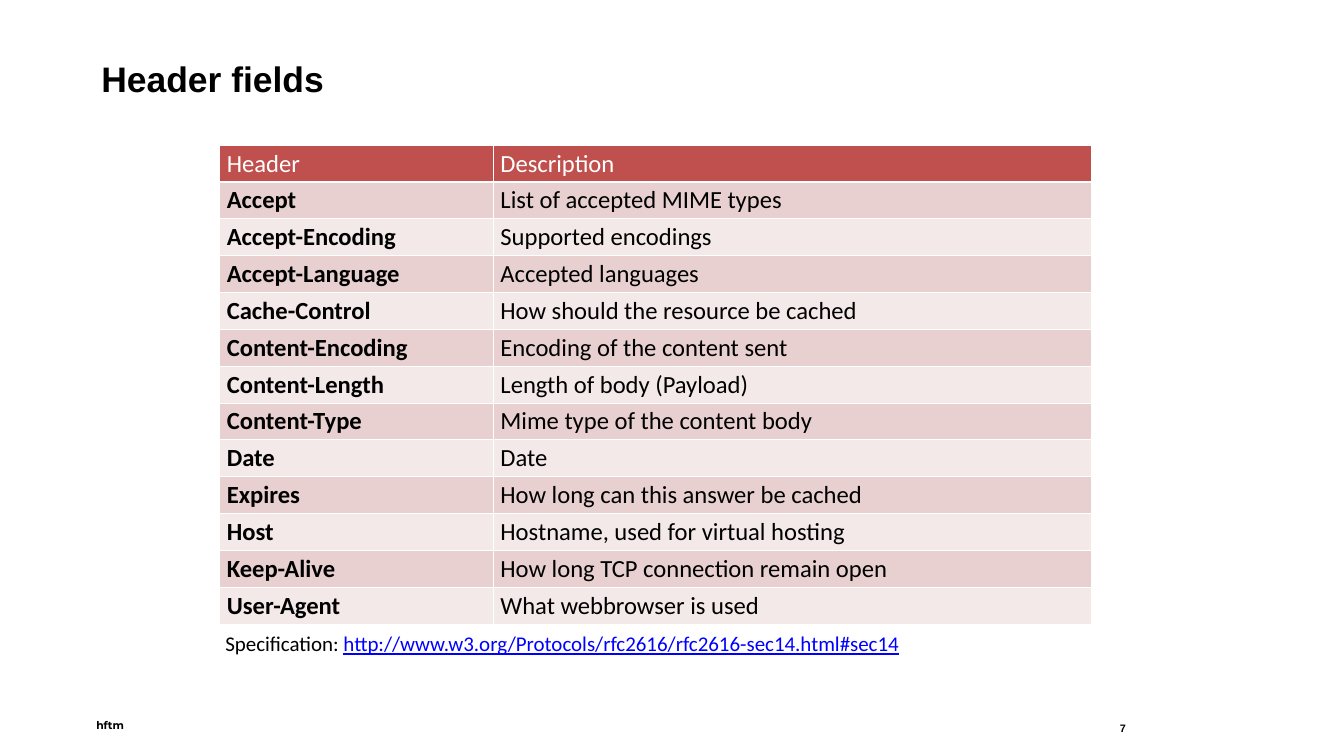
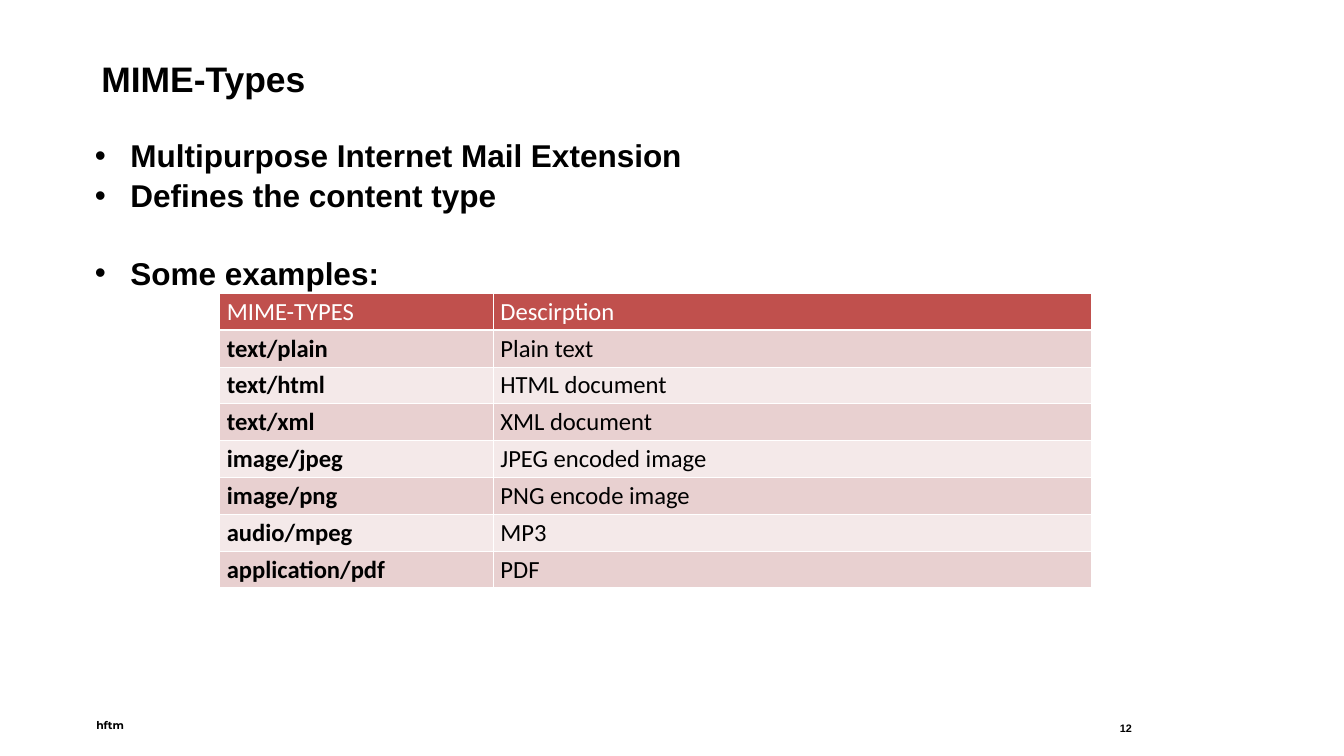
"""Build two slides on HTTP header fields and MIME types."""
from dataclasses import dataclass

from lxml import etree
from pptx import Presentation
from pptx.dml.color import RGBColor
from pptx.enum.text import MSO_ANCHOR, MSO_AUTO_SIZE, PP_ALIGN
from pptx.oxml.ns import qn
from pptx.util import Inches, Pt

LEFT = PP_ALIGN.LEFT
BOTTOM = MSO_ANCHOR.BOTTOM
NO_AUTOFIT = MSO_AUTO_SIZE.NONE
TITLE_ONLY = 5


@dataclass(frozen=True)
class Theme:
    black: str = "000000"
    white: str = "FFFFFF"
    link: str = "0000FF"
    header_fill: str = "C0504D"
    band_fills: tuple = ("E8D0D0", "F4E9E9")
    heading_font: str = "Arial"
    table_font: str = "Calibri"
    footer_font: str = "Montserrat"
    title_size: float = 36
    bullet_size: float = 32
    table_size: float = 25
    source_size: float = 21.3
    footer_size: float = 11


THEME = Theme()

SLIDES = [
    {
        "title": "Header fields",
        "number": "7",
        "table_top": 2.05,
        "rows": [
            ("Header", "Description"),
            ("Accept", "List of accepted MIME types"),
            ("Accept-Encoding", "Supported encodings"),
            ("Accept-Language", "Accepted languages"),
            ("Cache-Control", "How should the resource be cached"),
            ("Content-Encoding", "Encoding of the content sent"),
            ("Content-Length", "Length of body (Payload)"),
            ("Content-Type", "Mime type of the content body"),
            ("Date", "Date"),
            ("Expires", "How long can this answer be cached"),
            ("Host", "Hostname, used for virtual hosting"),
            ("Keep-Alive", "How long TCP connection remain open"),
            ("User-Agent", "What webbrowser is used"),
        ],
    },
    {
        "title": "MIME-Types",
        "number": "12",
        "table_top": 4.14,
        "rows": [
            ("MIME-TYPES", "Descirption"),
            ("text/plain", "Plain text"),
            ("text/html", "HTML document"),
            ("text/xml", "XML document"),
            ("image/jpeg", "JPEG encoded image"),
            ("image/png", "PNG encode image"),
            ("audio/mpeg", "MP3"),
            ("application/pdf", "PDF"),
        ],
    },
]
BULLETS = ["Multipurpose Internet Mail Extension", "Defines the content type", "Some examples:"]
SOURCE_LABEL = "Specification: "
SOURCE_ADDRESS = "http://www.w3.org/Protocols/rfc2616/rfc2616-sec14.html#sec14"
COLUMN_WIDTHS = (3.86, 8.43)
ROW_HEIGHT = 0.52


def format_runs(paragraph, font_name, size, color=THEME.black, bold=False):
    paragraph.alignment = LEFT
    for run in paragraph.runs:
        run.font.name = font_name
        run.font.size = Pt(size)
        run.font.bold = bold
        run.font.color.rgb = RGBColor.from_string(color)


def add_text_frame(slide, left, top, width, height):
    box = slide.shapes.add_textbox(Inches(left), Inches(top), Inches(width), Inches(height))
    box.text_frame.word_wrap = True
    return box.text_frame


presentation = Presentation()
presentation.slide_width = Inches(18.96)
presentation.slide_height = Inches(10.67)
slides = []

for content in SLIDES:
    slide = presentation.slides.add_slide(presentation.slide_layouts[TITLE_ONLY])
    slides.append(slide)

    title = slide.shapes.title
    title.left, title.top = Inches(1.43), Inches(0.79)
    title.width, title.height = Inches(16.11), Inches(0.61)
    frame = title.text_frame
    frame.text = content["title"]
    frame.auto_size = NO_AUTOFIT
    frame.vertical_anchor = BOTTOM
    frame.margin_left = frame.margin_top = frame.margin_right = frame.margin_bottom = 0
    format_runs(frame.paragraphs[0], THEME.heading_font, THEME.title_size, bold=True)

    for text, font_name, left, top, width in (
        (content["number"], THEME.heading_font, 15.7, 10.14, 2.44),
        ("hftm", THEME.footer_font, 1.26, 10.09, 1),
    ):
        frame = add_text_frame(slide, left, top, width, 0.29)
        frame.text = text
        format_runs(frame.paragraphs[0], font_name, THEME.footer_size, bold=True)

    rows = content["rows"]
    table = slide.shapes.add_table(
        len(rows), len(COLUMN_WIDTHS), Inches(3.1), Inches(content["table_top"]),
        Inches(sum(COLUMN_WIDTHS)), Inches(ROW_HEIGHT * len(rows)),
    ).table
    for column, width in zip(table.columns, COLUMN_WIDTHS):
        column.width = Inches(width)
    for row_index, texts in enumerate(rows):
        is_header = row_index == 0
        fill = THEME.header_fill if is_header else THEME.band_fills[(row_index - 1) % 2]
        for column_index, text in enumerate(texts):
            cell = table.cell(row_index, column_index)
            cell.text = text
            cell.fill.solid()
            cell.fill.fore_color.rgb = RGBColor.from_string(fill)
            format_runs(
                cell.text_frame.paragraphs[0], THEME.table_font, THEME.table_size,
                THEME.white if is_header else THEME.black,
                bold=not is_header and column_index == 0,
            )
            properties = cell._tc.get_or_add_tcPr()
            for position, edge in enumerate(("lnL", "lnR", "lnT", "lnB")):
                line_width = Pt(3 if is_header and edge == "lnB" else 1)
                border = etree.Element(qn(f"a:{edge}"), w=str(line_width))
                border_fill = etree.SubElement(border, qn("a:solidFill"))
                etree.SubElement(border_fill, qn("a:srgbClr"), val=THEME.white)
                properties.insert(position, border)

header_slide, mime_slide = slides

paragraph = add_text_frame(header_slide, 3.08, 8.85, 9.85, 0.82).paragraphs[0]
paragraph.text = SOURCE_LABEL
address = paragraph.add_run()
address.text = SOURCE_ADDRESS
format_runs(paragraph, THEME.table_font, THEME.source_size)
address.font.color.rgb = RGBColor.from_string(THEME.link)
address.font.underline = True

frame = add_text_frame(mime_slide, 1.34, 1.9, 16.04, 2.15)
frame.margin_left = frame.margin_top = frame.margin_right = frame.margin_bottom = 0
for index, text in enumerate(BULLETS):
    paragraph = frame.add_paragraph() if index else frame.paragraphs[0]
    paragraph.text = text
    properties = paragraph._p.get_or_add_pPr()
    properties.set("marL", str(Inches(0.5)))
    properties.set("indent", str(-Inches(0.5)))
    etree.SubElement(properties, qn("a:buFont"), typeface=THEME.heading_font)
    etree.SubElement(properties, qn("a:buChar"), char="•")
    paragraph.line_spacing = 1.05
    format_runs(paragraph, THEME.heading_font, THEME.bullet_size, bold=True)
frame.paragraphs[-1].space_before = Pt(38.6)

presentation.save("out.pptx")
